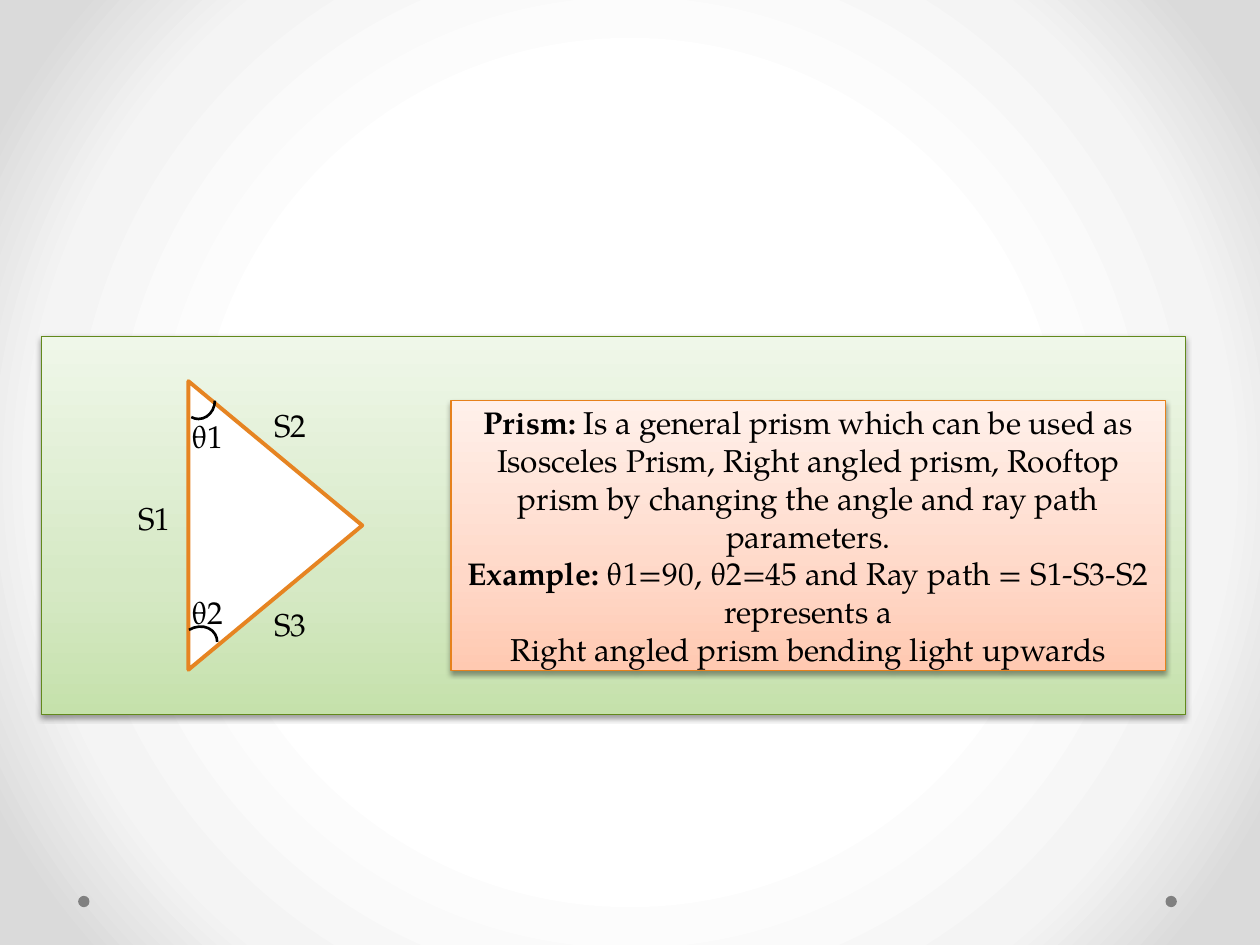
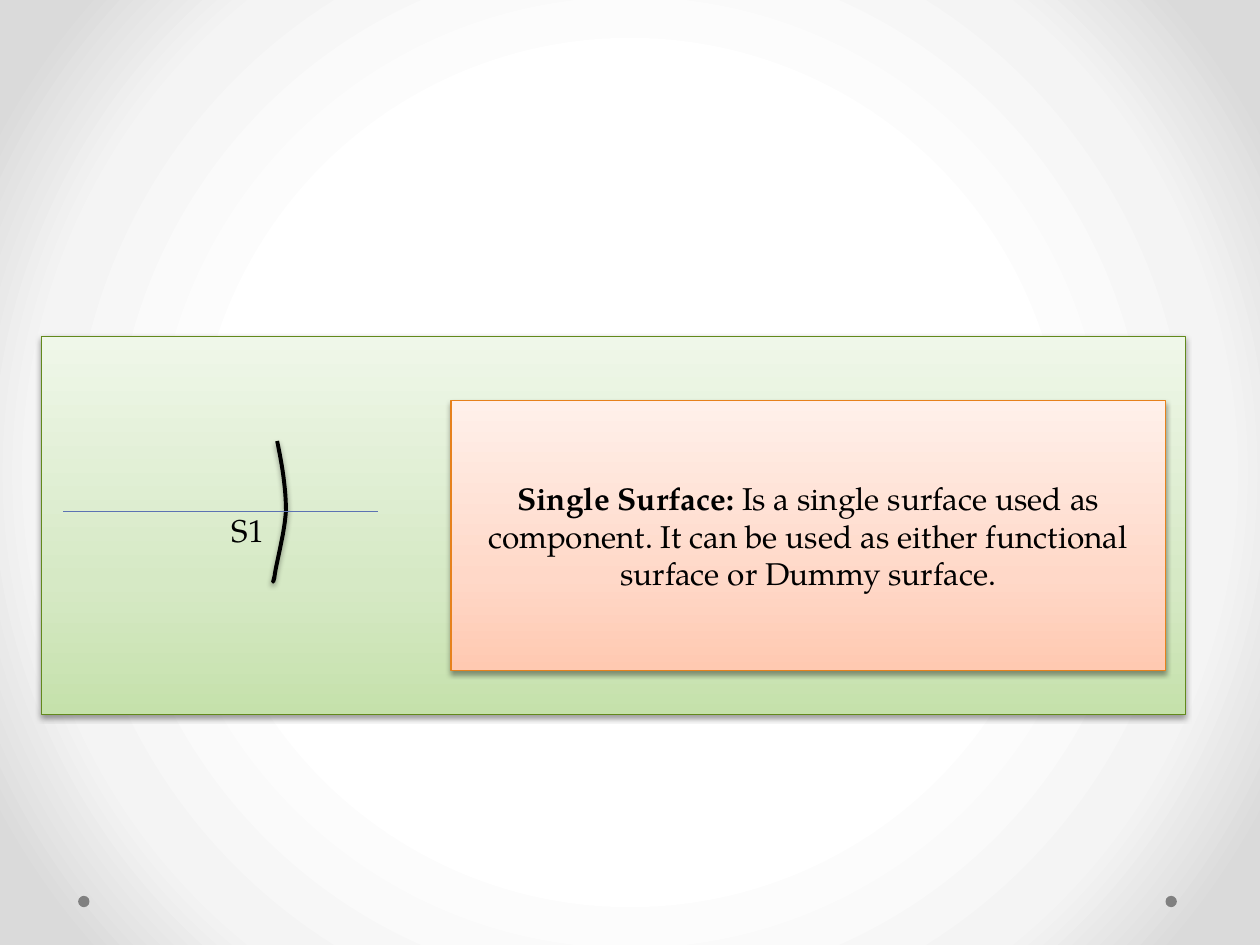
from pptx import Presentation
from pptx.dml.color import RGBColor
from pptx.enum.shapes import MSO_CONNECTOR, MSO_SHAPE
from pptx.enum.text import MSO_ANCHOR, MSO_AUTO_SIZE, PP_ALIGN
from pptx.oxml import parse_xml
from pptx.oxml.ns import nsdecls, qn
from pptx.util import Inches, Pt

FONT = "TeX Gyre Pagella"
COLORS = {
    "text": "000000", "prism fill": "FFFFFF", "prism line": "E68422",
    "dot": "808080", "panel line": "62891C", "card line": "E6811C", "axis": "5C72B2",
}
BACKDROP = [(50, "FFFFFF"), (76, "F4F4F4"), (92, "DADADA")]
PANEL = [(0, "C5E1AB"), (35, "D6E9C5"), (100, "EFF7E9")]
CARD = [(0, "FFC9B1"), (35, "FFD8C8"), (100, "FFF0EA")]
UPWARD = '<a:lin ang="16200000" scaled="0"/>'
FROM_CENTRE = '<a:path path="circle"><a:fillToRect l="50000" t="50000" r="50000" b="50000"/></a:path>'
SHADOW = (f'<a:outerShdw {nsdecls("a")} blurRad="39370" dist="20320" dir="5400000" rotWithShape="0">'
          '<a:srgbClr val="000000"><a:alpha val="38000"/></a:srgbClr></a:outerShdw>')


def set_gradient(fill, element, stops, direction):
    """Give fill, which lies within element, exact stops and a direction."""
    fill.gradient()
    gradient = element.find(".//" + qn("a:gradFill"))
    stop_xml = "".join(f'<a:gs pos="{pos * 1000}"><a:srgbClr val="{color}"/></a:gs>'
                       for pos, color in stops)
    gradient.getparent().replace(gradient, parse_xml(
        f'<a:gradFill {nsdecls("a")} rotWithShape="1"><a:gsLst>{stop_xml}</a:gsLst>{direction}</a:gradFill>'))


def style(shape, line=None, width=0.75, fill=None, gradient=None, shadow=False):
    shape.shadow.inherit = False
    if shadow:
        shape._element.spPr.find(qn("a:effectLst")).append(parse_xml(SHADOW))
    if gradient:
        set_gradient(shape.fill, shape._element, gradient, UPWARD)
    elif fill:
        shape.fill.solid()
        shape.fill.fore_color.rgb = RGBColor.from_string(COLORS[fill])
    else:
        shape.fill.background()
    if line:
        shape.line.color.rgb = RGBColor.from_string(COLORS[line])
        shape.line.width = Pt(width)
    else:
        shape.line.fill.background()


presentation = Presentation()
presentation.slide_width, presentation.slide_height = Inches(10), Inches(7.5)
master = presentation.slide_master
set_gradient(master.background.fill, master.element, BACKDROP, FROM_CENTRE)

# Each description paragraph is a bold lead and plain text
components = [
    {"description": [
        ("Prism: ", "Is a general prism which can be used as Isosceles Prism, Right angled prism, "
                    "Rooftop prism by changing the angle and ray path parameters."),
        ("Example: ", "θ1=90, θ2=45 and Ray path = S1-S3-S2 represents a"),
        ("", "Right angled prism bending light upwards")],
     "labels": [("S1", 1, 3.91), ("S2", 2.08, 3.17), ("S3", 2.08, 4.75),
                ("θ1", 1.42, 3.26), ("θ2", 1.42, 4.66)]},
    {"description": [
        ("Single Surface: ", "Is a single surface used as component. It can be used as either "
                             "functional surface or Dummy surface.")],
     "labels": [("S1", 1.74, 4.01)]},
]

for component in components:
    slide = presentation.slides.add_slide(presentation.slide_layouts[6])
    shapes = slide.shapes
    for left in (9.25, 0.62):
        dot = shapes.add_shape(MSO_SHAPE.OVAL, Inches(left), Inches(7.11), Inches(0.09), Inches(0.09))
        style(dot, fill="dot")

    panel = shapes.add_shape(MSO_SHAPE.RECTANGLE, Inches(0.33), Inches(2.67), Inches(9.08), Inches(3))
    style(panel, "panel line", gradient=PANEL, shadow=True)
    card = shapes.add_shape(MSO_SHAPE.RECTANGLE, Inches(3.58), Inches(3.18), Inches(5.67), Inches(2.14))
    style(card, "card line", gradient=CARD, shadow=True)

    frame = card.text_frame
    frame.word_wrap = True
    frame.vertical_anchor = MSO_ANCHOR.MIDDLE
    for index, (lead, body) in enumerate(component["description"]):
        paragraph = frame.add_paragraph() if index else frame.paragraphs[0]
        paragraph.alignment = PP_ALIGN.CENTER
        paragraph.font.name, paragraph.font.size = FONT, Pt(18)
        paragraph.font.color.rgb = RGBColor.from_string(COLORS["text"])
        for text, bold in ((lead, True), (body, False)):
            if text:
                run = paragraph.add_run()
                run.text, run.font.bold = text, bold
                run.font.color.rgb = RGBColor.from_string(COLORS["text"])

    if component is components[0]:
        prism = shapes.add_shape(MSO_SHAPE.ISOSCELES_TRIANGLE,
                                 Inches(1.04), Inches(3.48), Inches(2.29), Inches(1.38))
        prism.rotation = 90
        style(prism, "prism line", 2.25, fill="prism fill")
        for left, top, width, height, rotation in ((1.43, 3.05, 0.29, 0.26, 90),
                                                   (1.41, 4.98, 0.32, 0.27, 329)):
            angle_arc = shapes.add_shape(MSO_SHAPE.ARC, Inches(left), Inches(top),
                                         Inches(width), Inches(height))
            angle_arc.adjustments[0], angle_arc.adjustments[1] = 162, 14.18
            angle_arc.rotation = rotation
            style(angle_arc, "text", 1.5)

    for text, left, top in component["labels"]:
        label = shapes.add_textbox(Inches(left), Inches(top), Inches(0.5), Inches(0.4))
        label.text_frame.word_wrap = True
        label.text_frame.auto_size = MSO_AUTO_SIZE.SHAPE_TO_FIT_TEXT
        paragraph = label.text_frame.paragraphs[0]
        paragraph.text = text
        paragraph.font.name, paragraph.font.size = FONT, Pt(18)
        paragraph.font.color.rgb = RGBColor.from_string(COLORS["text"])

# The single surface: cubic curves traced in short steps, crossed by the optical axis
STEPS = 12
start = (2.2, 3.5)
curves = [((2.24, 3.69), (2.27, 3.88), (2.27, 4.05)),
          ((2.26, 4.23), (2.19, 4.48), (2.18, 4.57)),
          ((2.16, 4.65), (2.17, 4.61), (2.18, 4.58))]
builder = shapes.build_freeform(Inches(start[0]), Inches(start[1]))
points = []
for first, second, end in curves:
    for step in range(1, STEPS + 1):
        t = step / STEPS
        weights = ((1 - t) ** 3, 3 * t * (1 - t) ** 2, 3 * t ** 2 * (1 - t), t ** 3)
        points.append([Inches(sum(weight * value for weight, value in zip(weights, values)))
                       for values in zip(start, first, second, end)])
    start = end
builder.add_line_segments(points, close=False)
style(builder.convert_to_shape(), "text", 2.25, shadow=True)

axis = shapes.add_connector(MSO_CONNECTOR.STRAIGHT, Inches(0.5), Inches(4.06), Inches(3), Inches(4.06))
axis.line.color.rgb = RGBColor.from_string(COLORS["axis"])
axis.line.width = Pt(0.75)
axis._element.spPr.append(parse_xml(f'<a:effectLst {nsdecls("a")}/>'))

presentation.save("out.pptx")
